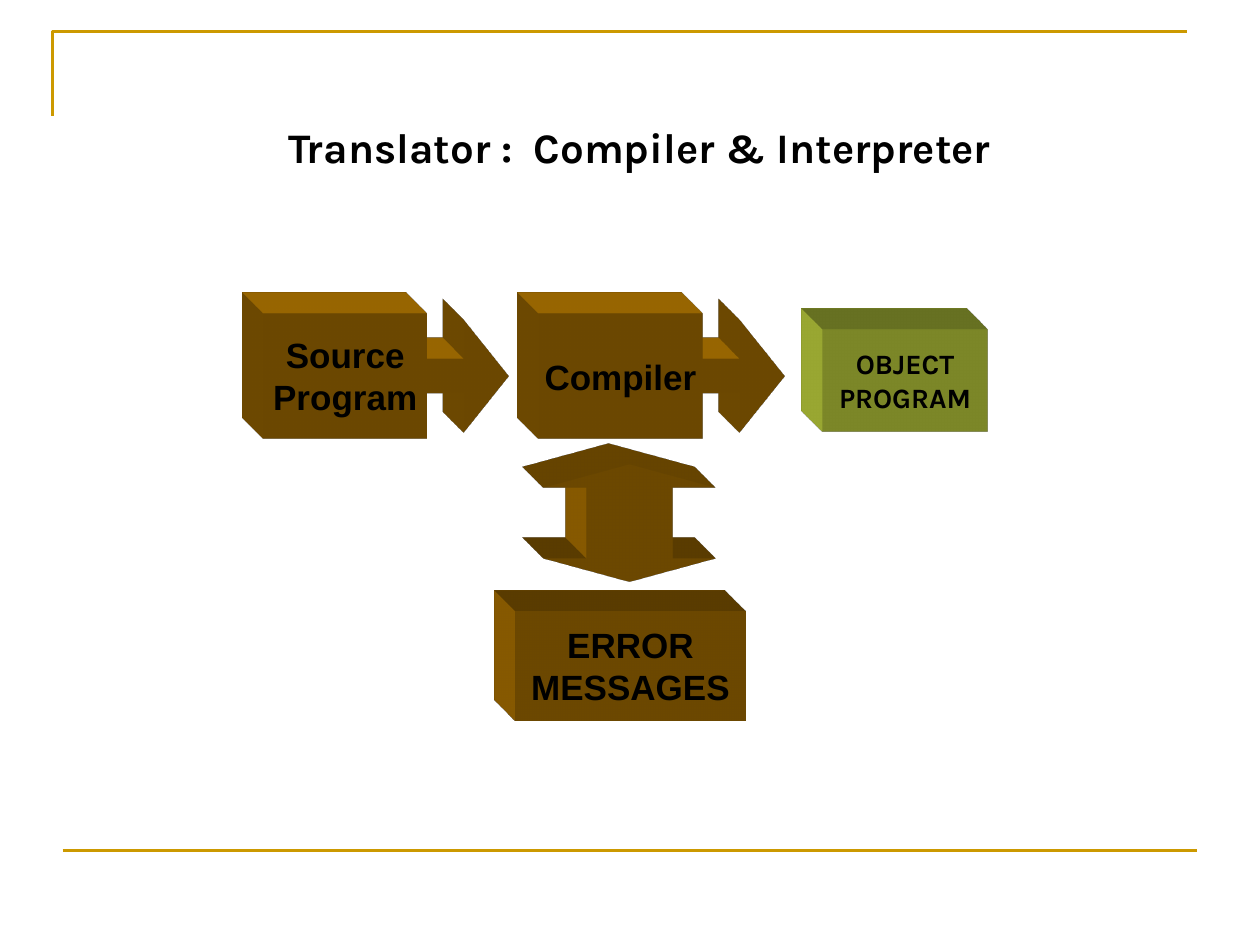
from dataclasses import dataclass
from lxml.etree import SubElement
from pptx import Presentation
from pptx.dml.color import RGBColor
from pptx.enum.shapes import MSO_CONNECTOR, MSO_SHAPE
from pptx.enum.text import MSO_ANCHOR, MSO_AUTO_SIZE, PP_ALIGN
from pptx.oxml.ns import qn
from pptx.util import Cm, Pt


@dataclass(frozen=True)
class Theme:
    """Colours, fonts, type sizes and lights of the slide."""
    gold: str = "CC9900"
    brown: str = "996600"
    green: str = "AFBF39"
    ink: str = "000000"
    head: str = "Karla"
    body: str = "Arial"
    large: int = 24
    mid: int = 20
    small: int = 16
    dim: str = "legacyFlat3"
    bright: str = "legacyFlat2"


THEME = Theme()


def assign(item, values):
    """Set each attribute of item from a dict."""
    for name, value in values.items():
        setattr(item, name, value)


def write(shape, text, font, size, wrap=False):
    """Put bold, centred lines of text in a shape."""
    frame = shape.text_frame
    frame.text = text
    assign(frame, {"word_wrap": wrap, "vertical_anchor": MSO_ANCHOR.MIDDLE,
                   "auto_size": MSO_AUTO_SIZE.NONE})
    for para in frame.paragraphs:
        para.alignment = PP_ALIGN.CENTER
        for run in para.runs:
            assign(run.font, {"name": font, "size": Pt(size), "bold": True})
            run.font.color.rgb = RGBColor.from_string(THEME.ink)


def stroke(shape):
    """Give a rule its gold line."""
    shape.line.color.rgb = RGBColor.from_string(THEME.gold)
    shape.line.width = Pt(1.5)


def adapt(shape, values):
    """Write the adjustments adj1, adj2 and so on by name."""
    guides = shape._element.spPr.find(qn("a:prstGeom")).find(qn("a:avLst"))
    for guide in list(guides):
        guides.remove(guide)
    for index, value in enumerate(values, 1):
        SubElement(guides, qn("a:gd"), name=f"adj{index}",
                   fmla=f"val {round(value * 100000)}")


def extrude(shape, color, light):
    """Add depth towards the top left under the given light."""
    props = shape._element.spPr
    scene = SubElement(props, qn("a:scene3d"))
    SubElement(scene, qn("a:camera"), prst="legacyObliqueTopLeft")
    SubElement(scene, qn("a:lightRig"), rig=light, dir="t")
    solid = SubElement(props, qn("a:sp3d"), extrusionH="430200",
                       prstMaterial="legacyMatte")
    for edge in ("a:bevelT", "a:bevelB"):
        SubElement(solid, qn(edge), w="13500", h="13500", prst="angle")
    tint = SubElement(solid, qn("a:extrusionClr"))
    SubElement(tint, qn("a:srgbClr"), val=color)


def block(slide, kind, box, color, light=THEME.dim, adjust=()):
    """Add one solid block in the given box."""
    shape = slide.shapes.add_shape(kind, *map(Cm, box))
    shape.shadow.inherit = False
    shape.fill.solid()
    shape.fill.fore_color.rgb = RGBColor.from_string(color)
    shape.line.fill.background()
    adapt(shape, adjust)
    extrude(shape, color, light)
    return shape


def border(slide, left, top, width, height):
    """Draw the corner rule and the foot rule of the page."""
    x, y = Cm(left), Cm(top)
    path = slide.shapes.build_freeform(x, y + Cm(1.7))
    path.add_line_segments([(x, y), (x + Cm(width), y)], close=False)
    corner = path.convert_to_shape()
    corner.shadow.inherit = False
    corner.fill.background()
    stroke(corner)
    x, y = x + Cm(0.2), y + Cm(height)
    foot = slide.shapes.add_connector(
        MSO_CONNECTOR.STRAIGHT, x, y, x + Cm(width), y)
    SubElement(foot._element.spPr, qn("a:effectLst"))
    stroke(foot)


def heading(slide, box, text):
    """Place and format the title."""
    title = slide.shapes.title
    assign(title, dict(zip(("left", "top", "width", "height"), map(Cm, box))))
    write(title, text, THEME.head, THEME.large, wrap=True)


def diagram(slide, left, top):
    """Draw the flow from source to object, with errors below."""
    green = block(slide, MSO_SHAPE.RECTANGLE,
                  (left + 11.28, top + 0.32, 3.31, 2.06), THEME.green)
    write(green, "OBJECT\vPROGRAM", THEME.head, THEME.small)
    for step, label in enumerate(("Source\nProgram", "Compiler")):
        call = block(slide, MSO_SHAPE.RIGHT_ARROW_CALLOUT,
                     (left + step * 5.55, top, 4.95, 2.52), THEME.brown,
                     THEME.bright, (0.279, 0.452, 0.362, 0.667))
        write(call, label, THEME.body, THEME.mid)
    block(slide, MSO_SHAPE.UP_DOWN_ARROW,
          (left + 5.64, top + 3.04, 3.48, 2.36), THEME.brown,
          adjust=(0.5, 0.2))
    error = block(slide, MSO_SHAPE.RECTANGLE,
                  (left + 5.08, top + 6, 4.64, 2.21), THEME.brown)
    write(error, "ERROR\vMESSAGES", THEME.body, THEME.mid)


def main():
    """Build and save the slide."""
    deck = Presentation()
    assign(deck, {"slide_width": Cm(25.4), "slide_height": Cm(19.05)})
    slide = deck.slides.add_slide(deck.slide_layouts[5])
    border(slide, 1.06, 0.63, 22.86, 16.51)
    heading(slide, (4.1, 2.33, 17.58, 1.27),
            "Translator :  Compiler & Interpreter")
    diagram(slide, 5.31, 6.32)
    deck.save("out.pptx")


main()
